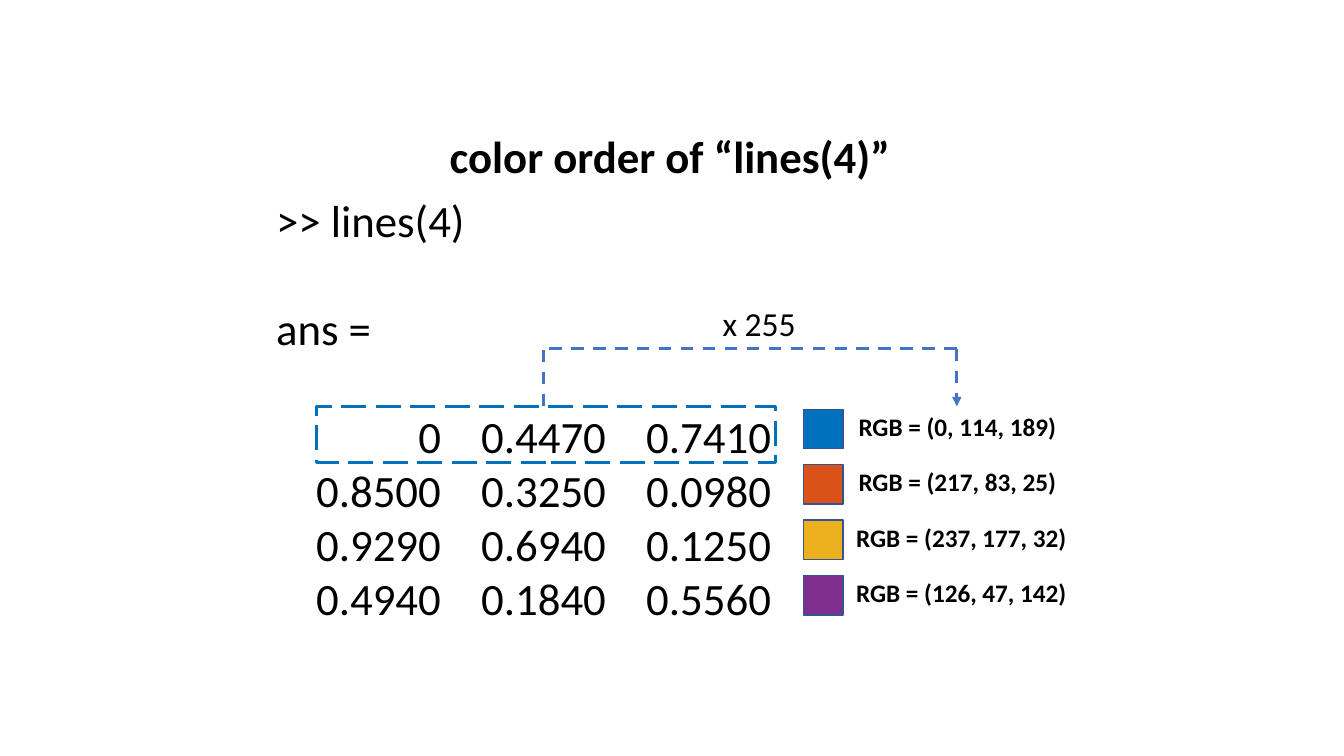
from lxml.etree import SubElement
from pptx import Presentation
from pptx.dml.color import RGBColor
from pptx.enum.dml import MSO_LINE
from pptx.enum.shapes import MSO_CONNECTOR, MSO_SHAPE
from pptx.enum.text import PP_ALIGN
from pptx.oxml.ns import qn
from pptx.util import Inches, Pt

HUES = {
    "text": "000000", "blue": "0072BD", "red": "D95319", "gold": "EDB120",
    "plum": "7E2F8E", "edge": "325491", "path": "4472C4",
}
ROWS = [
    ("blue", ["0", "0.4470", "0.7410"]),
    ("red", ["0.8500", "0.3250", "0.0980"]),
    ("gold", ["0.9290", "0.6940", "0.1250"]),
    ("plum", ["0.4940", "0.1840", "0.5560"]),
]
SIZE = 32
GAP = Pt(39)  # one empty line of the listing
TAB = 1.637

deck = Presentation()
deck.slide_width, deck.slide_height = Inches(13.33), Inches(7.5)
slide = deck.slides.add_slide(deck.slide_layouts[6])
shapes = slide.shapes


def add_text(spot, lines, size, bold=False, align=PP_ALIGN.CENTER, wrap=False):
    """Add a text box with one paragraph a line and return the paragraphs."""
    frame = shapes.add_textbox(*map(Inches, spot)).text_frame
    frame.word_wrap = wrap
    frame.text = "\n".join(lines)
    for para in frame.paragraphs:
        para.alignment = align
        font = para.font
        font.name, font.size, font.bold = "Calibri", Pt(size), bold
        font.color.rgb = RGBColor.from_string(HUES["text"])
    return frame.paragraphs


def set_line(line, hue, width, dash=None):
    line.color.rgb = RGBColor.from_string(HUES[hue])
    line.width = Pt(width)
    line.dash_style = dash


# Title and listing
add_text((4.36, 1.23, 4.62, 0.64), ["color order of “lines(4)”"], SIZE, True,
         PP_ALIGN.LEFT)
lines = [">> lines(4)", "ans ="]
lines += ["\t" + "\t".join(vals) for _, vals in ROWS]
paras = add_text((2.64, 1.86, 6.84, 4.41), lines, SIZE,
                 align=PP_ALIGN.LEFT, wrap=True)
paras[1].space_before = paras[2].space_before = GAP
for para in paras[2:]:
    tabs = SubElement(para._p.get_or_add_pPr(), qn("a:tabLst"))
    for col in range(1, 4):
        SubElement(tabs, qn("a:tab"), pos=str(Inches(col * TAB)), algn="r")
    # Tab stops come before the default run style in the schema
    style = para._p.pPr.find(qn("a:defRPr"))
    if style is not None:
        style.addprevious(tabs)

# Swatches with their 8-bit values
for row, (hue, vals) in enumerate(ROWS):
    drop = row * 0.55
    box = shapes.add_shape(MSO_SHAPE.RECTANGLE, Inches(7.97),
                           Inches(4.06 + drop), Inches(0.39), Inches(0.39))
    box.shadow.inherit = False
    box.fill.solid()
    box.fill.fore_color.rgb = RGBColor.from_string(HUES[hue])
    set_line(box.line, hue="edge", width=1)
    rgb = ", ".join(str(round(float(val) * 255)) for val in vals)
    left, width = (8.4, 2.19) if row < 2 else (8.38, 2.31)
    add_text((left, 4.03 + drop, width, 0.4), [f"RGB = ({rgb})"], 18, True)

# Frame of the first row
frame = shapes.add_shape(MSO_SHAPE.RECTANGLE, Inches(3.14), Inches(4.03),
                         Inches(4.55), Inches(0.56))
frame.shadow.inherit = False
frame.fill.background()
set_line(frame.line, "blue", 2.25, MSO_LINE.LONG_DASH)

# Dashed path from the row to its scaled values
start, end, top, base = 5.39, 9.49, 3.46, 4.03
for ends in [(end, top, end, base), (end, top, start, top),
             (start, base, start, top)]:
    link = shapes.add_connector(MSO_CONNECTOR.STRAIGHT, *map(Inches, ends))
    set_line(link.line, "path", 2.25, MSO_LINE.DASH)
    SubElement(link._element.spPr, qn("a:effectLst"))
    if ends[3] == base:
        SubElement(link.line._get_or_add_ln(), qn("a:tailEnd"), type="triangle")
add_text((7.06, 2.96, 0.94, 0.5), ["x 255"], 24)

deck.save("out.pptx")
